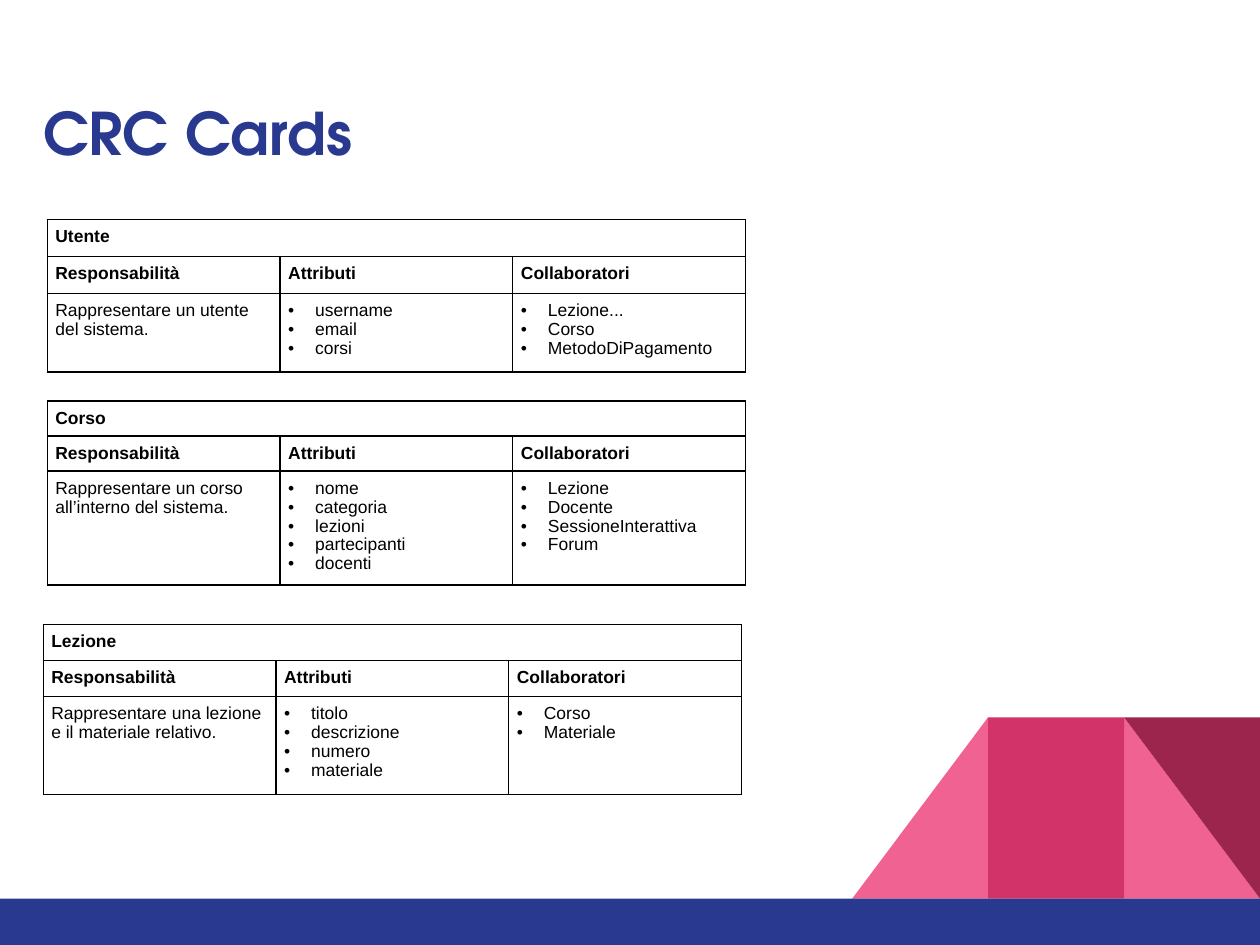
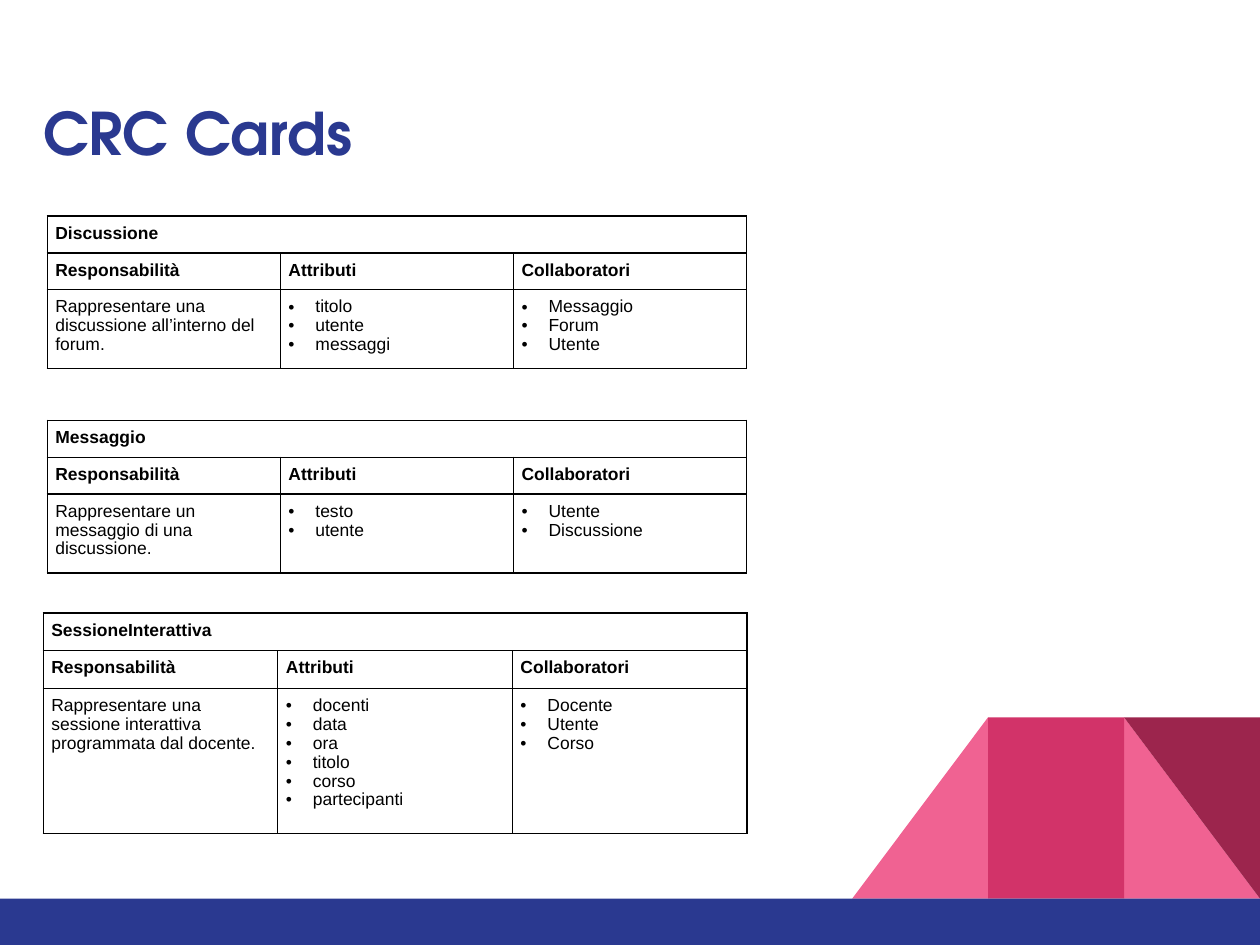
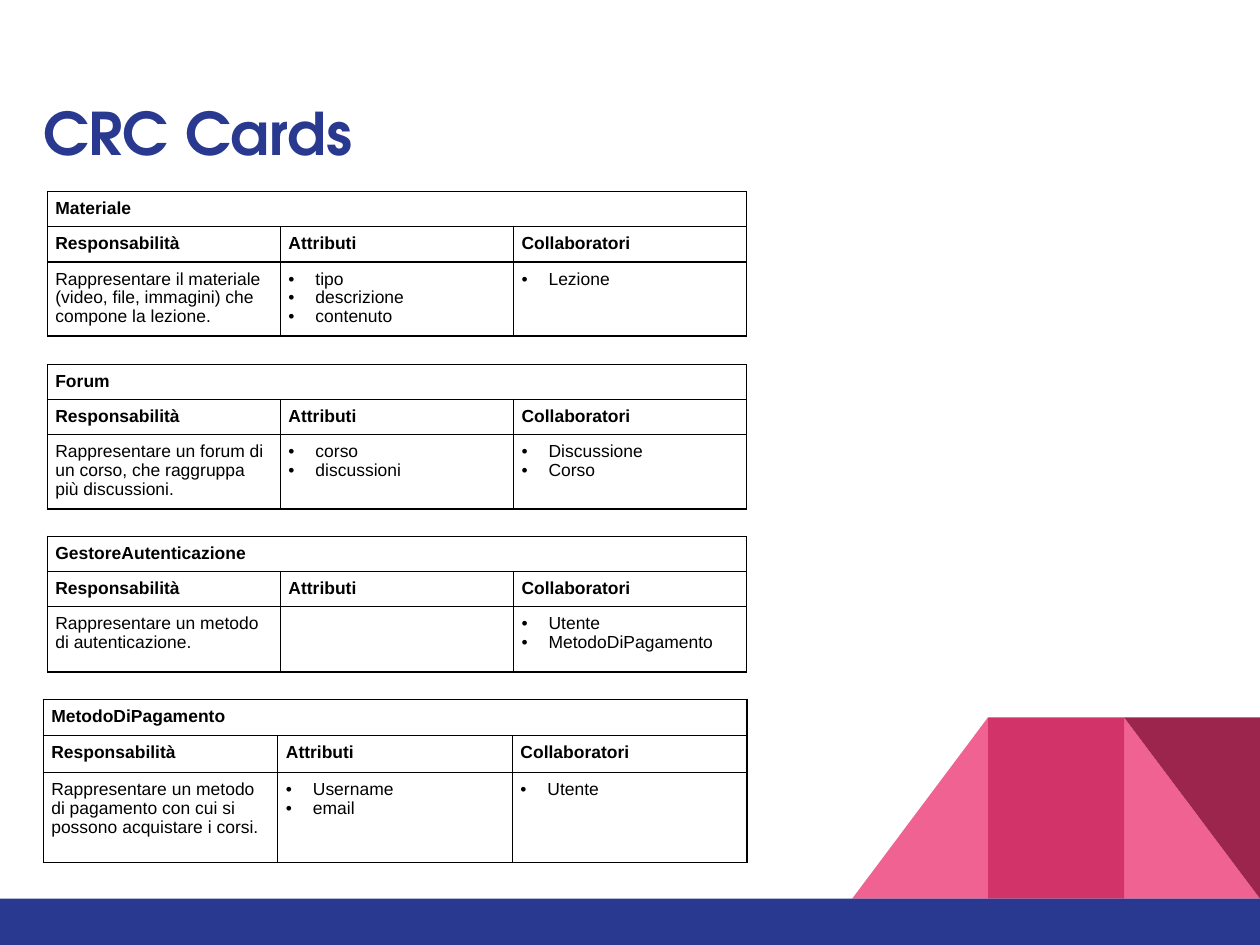
from dataclasses import dataclass

from pptx import Presentation
from pptx.dml.color import RGBColor as Rgb
from pptx.enum.shapes import MSO_SHAPE as Form
from pptx.enum.text import MSO_ANCHOR as Anchor, MSO_AUTO_SIZE as Fit, PP_ALIGN as Align
from pptx.oxml import parse_xml
from pptx.oxml.ns import nsdecls
from pptx.util import Cm, Pt

INK = {"blue": "2A3990", "pink": "F06292", "rose": "D23369",
       "wine": "9C254D", "black": "000000"}
WIDE, HIGH = 28, 21
STEP, RISE = 3.02, 4.03      # one tile of the corner pattern
BAND = 19.97                 # top of the bottom band
LEFT, EDGE = 1.05, 0.96      # left sides of the cards
INSET, HANG = 0.18, 0.6
HEADS = ("Responsabilità", "Attributi", "Collaboratori")


@dataclass
class Tile:
    form: Form
    ink: str
    left: float
    top: float
    width: float = STEP
    height: float = RISE
    turn: int = 0
    flip: bool = False


@dataclass
class Card:
    name: str
    duty: str
    traits: tuple[str, ...]
    peers: tuple[str, ...]
    top: float
    head: float              # height of each of the two heading rows
    body: float              # height of the last row
    left: float = LEFT
    width: float = 15.54


PEAK = BAND - RISE
TILES = (
    Tile(Form.RIGHT_TRIANGLE, "pink", WIDE - STEP, PEAK),
    Tile(Form.RIGHT_TRIANGLE, "pink", WIDE - 3 * STEP, PEAK, flip=True),
    Tile(Form.RECTANGLE, "rose", WIDE - 2 * STEP, PEAK),
    Tile(Form.RIGHT_TRIANGLE, "wine", WIDE - STEP, PEAK, turn=180),
    Tile(Form.RECTANGLE, "blue", 0, BAND, WIDE, HIGH - BAND),
)

DECK = (
    (
        Card("Utente", "Rappresentare un utente del sistema.",
             ("username", "email", "corsi"),
             ("Lezione...", "Corso", "MetodoDiPagamento"),
             4.88, 0.82, 1.75, width=15.52),
        Card("Corso", "Rappresentare un corso all’interno del sistema.",
             ("nome", "categoria", "lezioni", "partecipanti", "docenti"),
             ("Lezione", "Docente", "SessioneInterattiva", "Forum"),
             8.91, 0.78, 2.53, width=15.52),
        Card("Lezione", "Rappresentare una lezione e il materiale relativo.",
             ("titolo", "descrizione", "numero", "materiale"),
             ("Corso", "Materiale"),
             13.88, 0.8, 2.18, EDGE, 15.52),
    ),
    (
        Card("Discussione", "Rappresentare una discussione all’interno del forum.",
             ("titolo", "utente", "messaggi"),
             ("Messaggio", "Forum", "Utente"),
             4.8, 0.82, 1.75),
        Card("Messaggio", "Rappresentare un messaggio di una discussione.",
             ("testo", "utente"), ("Utente", "Discussione"),
             9.34, 0.82, 1.75),
        Card("SessioneInterattiva",
             "Rappresentare una sessione interattiva programmata dal docente.",
             ("docenti", "data", "ora", "titolo", "corso", "partecipanti"),
             ("Docente", "Utente", "Corso"),
             13.62, 0.84, 3.22, EDGE, 15.64),
    ),
    (
        Card("Materiale",
             "Rappresentare il materiale (video, file, immagini) che compone la lezione.",
             ("tipo", "descrizione", "contenuto"), ("Lezione",),
             4.26, 0.78, 1.65),
        Card("Forum",
             "Rappresentare un forum di un corso, che raggruppa più discussioni.",
             ("corso", "discussioni"), ("Discussione", "Corso"),
             8.1, 0.78, 1.65),
        Card("GestoreAutenticazione", "Rappresentare un metodo di autenticazione.",
             (), ("Utente", "MetodoDiPagamento"),
             11.92, 0.78, 1.45),
        Card("MetodoDiPagamento",
             "Rappresentare un metodo di pagamento con cui si possono acquistare i corsi.",
             ("Username", "email"), ("Utente",),
             15.54, 0.81, 2, EDGE, 15.64),
    ),
)


def tint(key: str) -> Rgb:
    return Rgb.from_string(INK[key])


# Shared corner pattern and band, moved from a slide to its layout
def add_tile(slide, tile: Tile) -> None:
    shape = slide.shapes.add_shape(tile.form, Cm(tile.left), Cm(tile.top),
                                   Cm(tile.width), Cm(tile.height))
    shape.shadow.inherit = False
    shape.fill.solid()
    shape.fill.fore_color.rgb = tint(tile.ink)
    shape.line.fill.background()
    shape.rotation = tile.turn
    if tile.flip:
        shape.element.spPr.xfrm.set("flipH", "1")
    slide.slide_layout.shapes.element.append(shape.element)


def add_title(slide, text: str) -> None:
    title = slide.shapes.title
    title.left, title.top = Cm(EDGE), Cm(1.68)
    title.width, title.height = Cm(26.08), Cm(2.49)
    frame = title.text_frame
    frame.text = text
    frame.auto_size = Fit.NONE
    frame.vertical_anchor = Anchor.MIDDLE
    frame.margin_left = frame.margin_right = 0
    frame.margin_top = frame.margin_bottom = 0
    line = frame.paragraphs[0]
    line.alignment = Align.LEFT
    font = line.runs[0].font
    font.name, font.size, font.bold = "TeX Gyre Adventor", Pt(37), True
    font.color.rgb = tint("blue")


# Cells
def frame_cell(cell) -> None:
    props = cell._tc.get_or_add_tcPr()
    for side in ("lnL", "lnR", "lnT", "lnB"):
        props.append(parse_xml(
            f'<a:{side} {nsdecls("a")} w="{Pt(1)}"><a:solidFill>'
            f'<a:srgbClr val="{INK["black"]}"/></a:solidFill></a:{side}>'))
    cell.fill.background()
    cell.margin_left = cell.margin_right = Cm(INSET)
    cell.margin_top = cell.margin_bottom = Cm(INSET)


def add_dot(line) -> None:
    props = line._p.get_or_add_pPr()
    props.set("marL", str(Cm(HANG)))
    props.set("indent", str(-Cm(HANG)))
    props.append(parse_xml(f'<a:buFont {nsdecls("a")} typeface="Arial"/>'))
    props.append(parse_xml(f'<a:buChar {nsdecls("a")} char="•"/>'))


def fill_cell(cell, text: str, bold: bool = False, dots: bool = False) -> None:
    cell.text_frame.text = text
    for line in cell.text_frame.paragraphs:
        line.line_spacing = 0.97
        for run in line.runs:
            font = run.font
            font.name, font.size, font.bold = "Arial", Pt(11), bold
            font.color.rgb = tint("black")
            if dots:
                add_dot(line)


# One card is one table
def add_card(slide, card: Card) -> None:
    rows = (card.head, card.head, card.body)
    table = slide.shapes.add_table(
        len(rows), len(HEADS), Cm(card.left), Cm(card.top),
        Cm(card.width), Cm(sum(rows))).table
    table.first_row = table.horz_banding = False
    for row, height in zip(table.rows, rows):
        row.height = Cm(height)
    for cell in table.iter_cells():
        frame_cell(cell)
    table.cell(0, 0).merge(table.cell(0, len(HEADS) - 1))
    fill_cell(table.cell(0, 0), card.name, bold=True)
    for col, head in enumerate(HEADS):
        fill_cell(table.cell(1, col), head, bold=True)
    fill_cell(table.cell(2, 0), card.duty)
    for col, items in enumerate((card.traits, card.peers), 1):
        fill_cell(table.cell(2, col), "\n".join(items), dots=True)


def main() -> None:
    deck = Presentation()
    deck.slide_width, deck.slide_height = Cm(WIDE), Cm(HIGH)
    layout = deck.slide_layouts.get_by_name("Title Only")
    slides = [deck.slides.add_slide(layout) for _ in DECK]
    for tile in TILES:
        add_tile(slides[0], tile)
    for slide, cards in zip(slides, DECK):
        add_title(slide, "CRC Cards")
        for card in cards:
            add_card(slide, card)
    deck.save("out.pptx")


if __name__ == "__main__":
    main()
